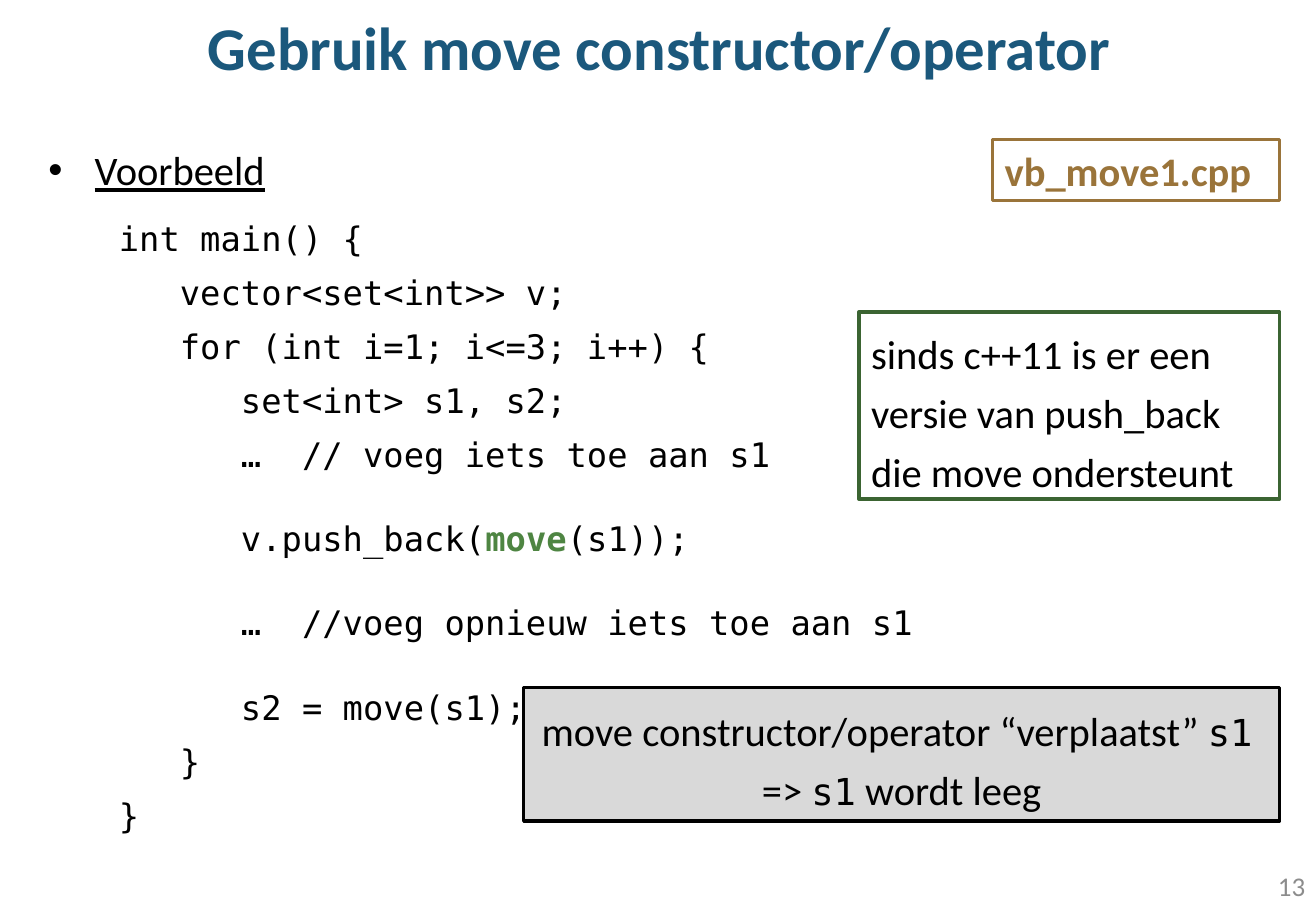
import pptx
import pptx.dml.color
import pptx.enum.shapes
import pptx.enum.text
import pptx.util
from lxml import etree

Inches, Pt = pptx.util.Inches, pptx.util.Pt
SHAPE = pptx.enum.shapes.MSO_SHAPE
ALIGN = pptx.enum.text.PP_ALIGN
ANCHOR = pptx.enum.text.MSO_ANCHOR
TEXT_FONT, CODE_FONT = "Calibri", "DejaVu Sans Mono"

TITLE = "Gebruik move constructor/operator"
HEADING = "Voorbeeld"
CODE = [
    ("int main() {", 6),
    ("   vector<set<int>> v;", 0),
    ("   for (int i=1; i<=3; i++) {", 0),
    ("      set<int> s1, s2;", 0),
    ("      …  // voeg iets toe aan s1", 0),
    ([("      v.push_back(", {}), ("move", {"color": "4E8542", "bold": True}), ("(s1));", {})], 18),
    ("      …  //voeg opnieuw iets toe aan s1", 18),
    ("      s2 = move(s1);", 18),
    ("   }", 0),
    ("}", 0),
]
S1 = ("s1", {"font": CODE_FONT, "size": 22})
EFFECT = [
    [("move constructor/operator “verplaatst” ", {}), S1, (" ", {})],
    [("=> ", {}), S1, (" wordt leeg", {})],
]
FILE_NAME = "vb_move1.cpp"
VERSION_NOTE = "sinds c++11 is er een versie van push_back die move ondersteunt"
PAGE_NUMBER = "13"

RIGHT_EDGE = 10.53


def rgb(value):
    return pptx.dml.color.RGBColor.from_string(value)


def write(frame, text, size=24, font=TEXT_FONT, color="000000", bold=False, underline=False,
          align=ALIGN.LEFT, spacing=None, before=0, indent=0, bullet=None):
    paragraph = frame.paragraphs[0]
    if paragraph.runs:
        paragraph = frame.add_paragraph()
    properties = paragraph._p.get_or_add_pPr()
    properties.set("marL", str(Inches(indent)))
    properties.set("indent", str(-Inches(indent) if bullet else 0))
    if bullet:
        namespace = pptx.oxml.ns.qn("a:buFont"), pptx.oxml.ns.qn("a:buChar")
        etree.SubElement(properties, namespace[0], typeface="Arial")
        etree.SubElement(properties, namespace[1], char=bullet)
    paragraph.alignment = align
    if spacing:
        paragraph.line_spacing = spacing
    if before:
        paragraph.space_before = Pt(before)
    base = {"size": size, "font": font, "color": color, "bold": bold}
    for part, changes in ([(text, {})] if isinstance(text, str) else text):
        style = {**base, **changes}
        run = paragraph.add_run()
        run.text = part
        run.font.name = style["font"]
        run.font.size = Pt(style["size"])
        run.font.bold = style["bold"]
        run.font.underline = underline
        run.font.color.rgb = rgb(style["color"])


def text_frame(shape, anchor):
    frame = shape.text_frame
    frame.word_wrap = True
    frame.vertical_anchor = anchor
    return frame


def add_text(left, top, width, height, anchor=ANCHOR.TOP):
    box = slide.shapes.add_textbox(Inches(left), Inches(top), Inches(width), Inches(height))
    return text_frame(box, anchor)


def add_note(top, width, height, line, weight=2, fill=None, kind=SHAPE.RECTANGLE,
             anchor=ANCHOR.TOP, pointer=()):
    note = slide.shapes.add_shape(kind, Inches(RIGHT_EDGE - width), Inches(top),
                                  Inches(width), Inches(height))
    for index, value in enumerate(pointer):
        note.adjustments[index] = value
    note.shadow.inherit = False
    if fill:
        note.fill.solid()
        note.fill.fore_color.rgb = rgb(fill)
    else:
        note.fill.background()
    note.line.color.rgb = rgb(line)
    note.line.width = Pt(weight)
    return text_frame(note, anchor)


deck = pptx.Presentation()
deck.slide_width, deck.slide_height = Inches(10.83), Inches(7.5)
slide = deck.slides.add_slide(deck.slide_layouts[6])

example = add_text(0.3, 0.99, 10.24, 6.14)
write(example, HEADING, underline=True, spacing=Pt(40), indent=0.38, bullet="•")
for line, gap in CODE:
    write(example, line, size=20, font=CODE_FONT, spacing=Pt(32), before=gap, indent=0.58)

effect = add_note(5.66, 6.22, 1.1, "000000", fill="D9D9D9", kind=SHAPE.LINE_CALLOUT_2,
                  anchor=ANCHOR.MIDDLE, pointer=(0.9, 0, 0.73, 0, 0.84, 0))
for line in EFFECT:
    write(effect, line, align=ALIGN.CENTER, spacing=Pt(35))

write(add_note(1.15, 2.36, 0.5, "9A743A"), FILE_NAME, color="9A743A", bold=True)
write(add_text(8.31, 7.09, 2.53, 0.4, ANCHOR.MIDDLE), PAGE_NUMBER,
      size=16, color="8C8C8C", align=ALIGN.RIGHT)
write(add_text(0.01, -0.01, 10.83, 0.83, ANCHOR.MIDDLE), TITLE,
      size=36, color="1B587C", bold=True, align=ALIGN.CENTER, spacing=0.96)
write(add_note(2.57, 3.46, 1.54, "3B6432", weight=2.25), VERSION_NOTE, spacing=Pt(35))

deck.save("out.pptx")
